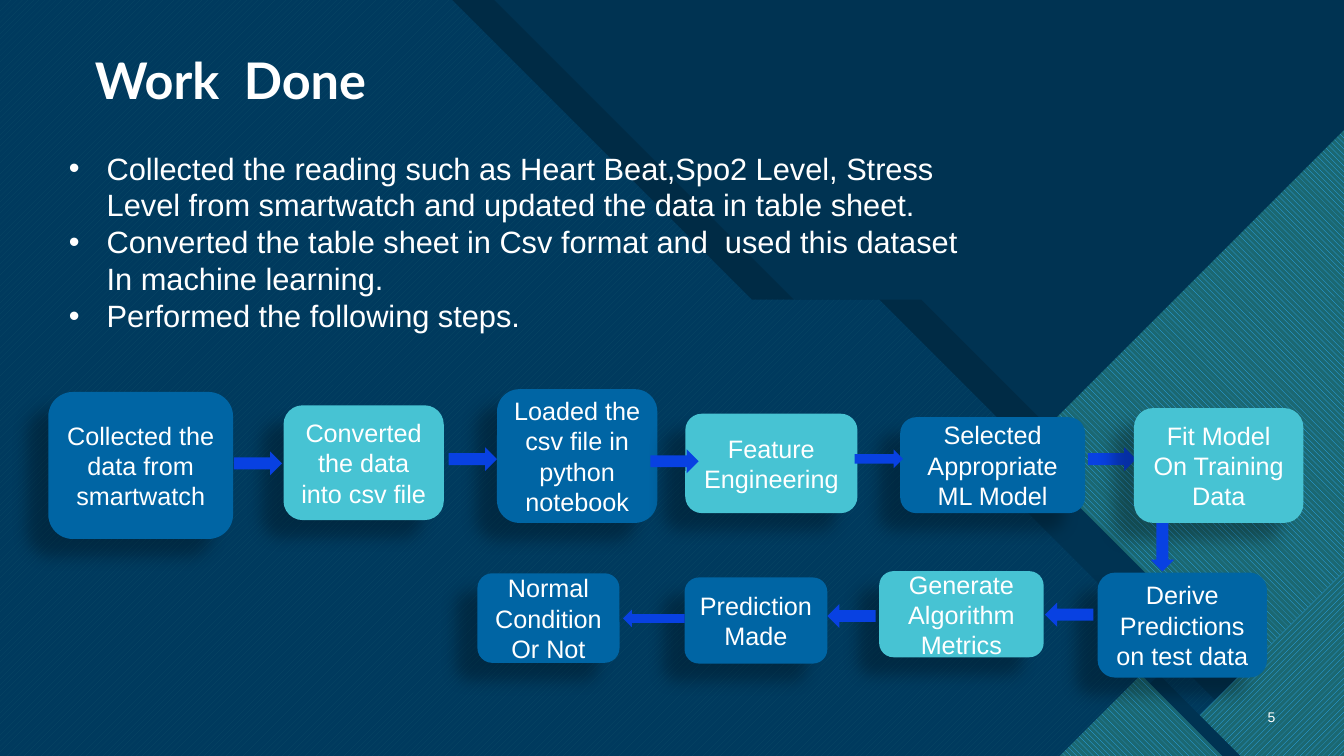
import dataclasses

import pptx
import pptx.dml.color
import pptx.enum.dml
import pptx.enum.shapes
import pptx.enum.text
import pptx.oxml
import pptx.oxml.ns
import pptx.util

Pt = pptx.util.Pt
Shape = pptx.enum.shapes.MSO_SHAPE
Hatch = pptx.enum.dml.MSO_PATTERN
Align = pptx.enum.text.PP_ALIGN
Anchor = pptx.enum.text.MSO_ANCHOR


@dataclasses.dataclass(frozen=True)
class Theme:
    """Colours, fonts and type sizes of the slide."""
    dark: str = "003352"
    black: str = "000000"
    blue: str = "0065A4"
    teal: str = "47C3D3"
    sky: str = "2FAFFF"
    pine: str = "1B6872"
    arrow: str = "0841E2"
    white: str = "FFFFFF"
    head: str = "Lato"
    text: str = "Arial"
    title: int = 36
    body: int = 22
    step: int = 18
    page: int = 10


theme = Theme()
WIDE, HIGH = 960, 540
UP = Hatch.WIDE_UPWARD_DIAGONAL
DOWN = Hatch.WIDE_DOWNWARD_DIAGONAL

TITLE = "Work  Done"
POINTS = [
    "Collected the reading such as Heart Beat,Spo2 Level, Stress Level from "
    "smartwatch and updated the data in table sheet.",
    "Converted the table sheet in Csv format and  used this dataset In machine learning.",
    "Performed the following steps.",
]
PAGE = "5"

# Backdrop, back to front: fill (colour, or hatch with two colours), opacity, corners
BACK = [
    ((theme.dark,), 100, [(0, 0), (WIDE, 0), (WIDE, HIGH), (0, HIGH)]),
    ((theme.black,), 100, [(0, 0), (353, 0), (567, 214), (658, 214),
                           (WIDE, 516), (WIDE, HIGH), (0, HIGH)]),
    ((UP, theme.teal, theme.blue), 100, [(0, 0), (323, 0), (537, 214), (628, 214),
                                         (954, HIGH), (0, HIGH)]),
    ((theme.dark,), 85, [(0, 0), (500, 0), (714, 214), (805, 214),
                         (WIDE, 369), (WIDE, HIGH), (0, HIGH)]),
    ((theme.dark,), 100, [(WIDE, 112), (WIDE, 510), (878, 510), (720, 352)]),
    ((DOWN, theme.sky, theme.pine), 100, [(WIDE, 93), (WIDE, 531), (940, 531), (731, 322)]),
    ((UP, theme.sky, theme.pine), 100, [(WIDE, 408), (WIDE, HIGH), (828, HIGH)]),
    ((theme.dark,), 100, [(886, HIGH), (828, 482), (770, HIGH)]),
    ((DOWN, theme.sky, theme.pine), 100, [(757, HIGH), (815, 482), (873, HIGH)]),
]

# Each stage: steps (text, fill, left, top, width, height), then
# arrows (left, top, width, height, turn)
STAGES = [
    ([("Collected the data from smartwatch", theme.blue, 34.5, 280, 132, 105),
      ("Converted the data into csv file", theme.teal, 202.5, 289.5, 114.5, 82),
      ("Loaded the csv file in python notebook", theme.blue, 355, 278, 114.5, 95.5),
      ("Feature Engineering", theme.teal, 489.5, 295.5, 123, 71),
      ("Selected Appropriate ML Model", theme.blue, 643, 298, 132, 68.5)],
     [(167, 322.5, 34.5, 17, 0), (320.5, 319.5, 34.5, 17, 0), (464.5, 321, 34.5, 17, 0),
      (610.5, 321, 34.5, 13.5, 0), (777, 319.5, 34.5, 17, 0)]),
    ([("Fit Model On Training Data", theme.teal, 810, 291.5, 121, 82),
      ("Derive Predictions on test data", theme.blue, 784, 409, 121, 75),
      ("Generate Algorithm Metrics", theme.teal, 628, 408, 117.5, 61.5),
      ("Prediction Made", theme.blue, 489, 412.5, 102, 61.5),
      ("Normal Condition Or Not", theme.blue, 341, 409.5, 101.5, 64)],
     [(813, 382.5, 34.5, 17, 90), (746.5, 430.5, 34.5, 17, 180),
      (591, 431.5, 34.5, 17, 180), (445, 435.5, 44, 12.5, 180)]),
]

SHADOW = (
    '<a:effectLst %s><a:outerShdw blurRad="%d" dist="%d" dir="8460000" algn="ctr" '
    'rotWithShape="0"><a:srgbClr val="%s"><a:alpha val="28000"/></a:srgbClr>'
    '</a:outerShdw></a:effectLst>'
) % (pptx.oxml.ns.nsdecls("a"), Pt(11.8), Pt(19.7), theme.black)


def tint(code):
    """Turn a hex code into a colour."""
    return pptx.dml.color.RGBColor.from_string(code)


def paint(shape, code):
    """Give a shape a plain fill with no line or shadow."""
    shape.shadow.inherit = False
    shape.line.fill.background()
    shape.fill.solid()
    shape.fill.fore_color.rgb = tint(code)


def place(shape, *area):
    """Move and size a shape in points."""
    shape.left, shape.top, shape.width, shape.height = map(Pt, area)


def write(shape, lines, size, font=theme.text, align=Align.LEFT, anchor=Anchor.MIDDLE,
          bold=False):
    """Fill a shape with paragraphs in one style."""
    frame = shape.text_frame
    frame.text = "\n".join(lines)
    frame.word_wrap = True
    frame.vertical_anchor = anchor
    for para in frame.paragraphs:
        para.alignment = align
        para.space_before = Pt(0)
        for run in para.runs:
            run.font.size = Pt(size)
            run.font.name = font
            run.font.bold = bold
            run.font.color.rgb = tint(theme.white)


def facet(shapes, fill, clear, spots):
    """Draw one backdrop polygon."""
    ends = [(Pt(x), Pt(y)) for x, y in spots]
    pen = shapes.build_freeform(*ends[0])
    pen.add_line_segments(ends[1:], close=True)
    shape = pen.convert_to_shape()
    paint(shape, fill[-1])
    if len(fill) == 3:
        shape.fill.patterned()
        shape.fill.pattern = fill[0]
        shape.fill.fore_color.rgb = tint(fill[1])
        shape.fill.back_color.rgb = tint(fill[2])
    if clear < 100:
        code = shape._element.spPr.find(".//" + pptx.oxml.ns.qn("a:srgbClr"))
        code.append(pptx.oxml.parse_xml('<a:alpha %s val="%d"/>' % (
            pptx.oxml.ns.nsdecls("a"), clear * 1000)))


def step(shapes, text, code, *area):
    """Draw one rounded step box with its shadow."""
    box = shapes.add_shape(Shape.ROUNDED_RECTANGLE, *map(Pt, area))
    paint(box, code)
    props = box._element.spPr
    props.replace(props.find(pptx.oxml.ns.qn("a:effectLst")), pptx.oxml.parse_xml(SHADOW))
    write(box, [text], theme.step, align=Align.CENTER)


def arrow(shapes, *area):
    """Draw one block arrow; the last value is its turn."""
    mark = shapes.add_shape(Shape.RIGHT_ARROW, *map(Pt, area[:4]))
    mark.rotation = area[4]
    paint(mark, theme.arrow)


def build():
    """Build the slide and save it."""
    deck = pptx.Presentation()
    deck.slide_width, deck.slide_height = Pt(WIDE), Pt(HIGH)
    slide = deck.slides.add_slide(deck.slide_layouts[1])
    shapes = slide.shapes
    title, body = slide.placeholders
    for layer in BACK:
        facet(shapes, *layer)

    for holder in (title, body):
        shapes._spTree.append(holder._element)
    place(title, 60.5, 15, 282, 67.5)
    write(title, [TITLE], theme.title, theme.head, anchor=Anchor.BOTTOM, bold=True)
    title.text_frame.paragraphs[0].line_spacing = 0.9

    place(body, 42, 103, 664, 140.5)
    write(body, POINTS, theme.body, anchor=Anchor.TOP)
    for para in body.text_frame.paragraphs:
        props = para._p.get_or_add_pPr()
        props.set("marL", str(Pt(27)))
        props.set("indent", str(Pt(-27)))

    page = shapes.add_textbox(*map(Pt, (886, 497.5, 32, 29)))
    write(page, [PAGE], theme.page, align=Align.RIGHT)

    for steps, arrows in STAGES:
        for item in steps:
            step(shapes, *item)
        for item in arrows:
            arrow(shapes, *item)
    deck.save("out.pptx")


build()
